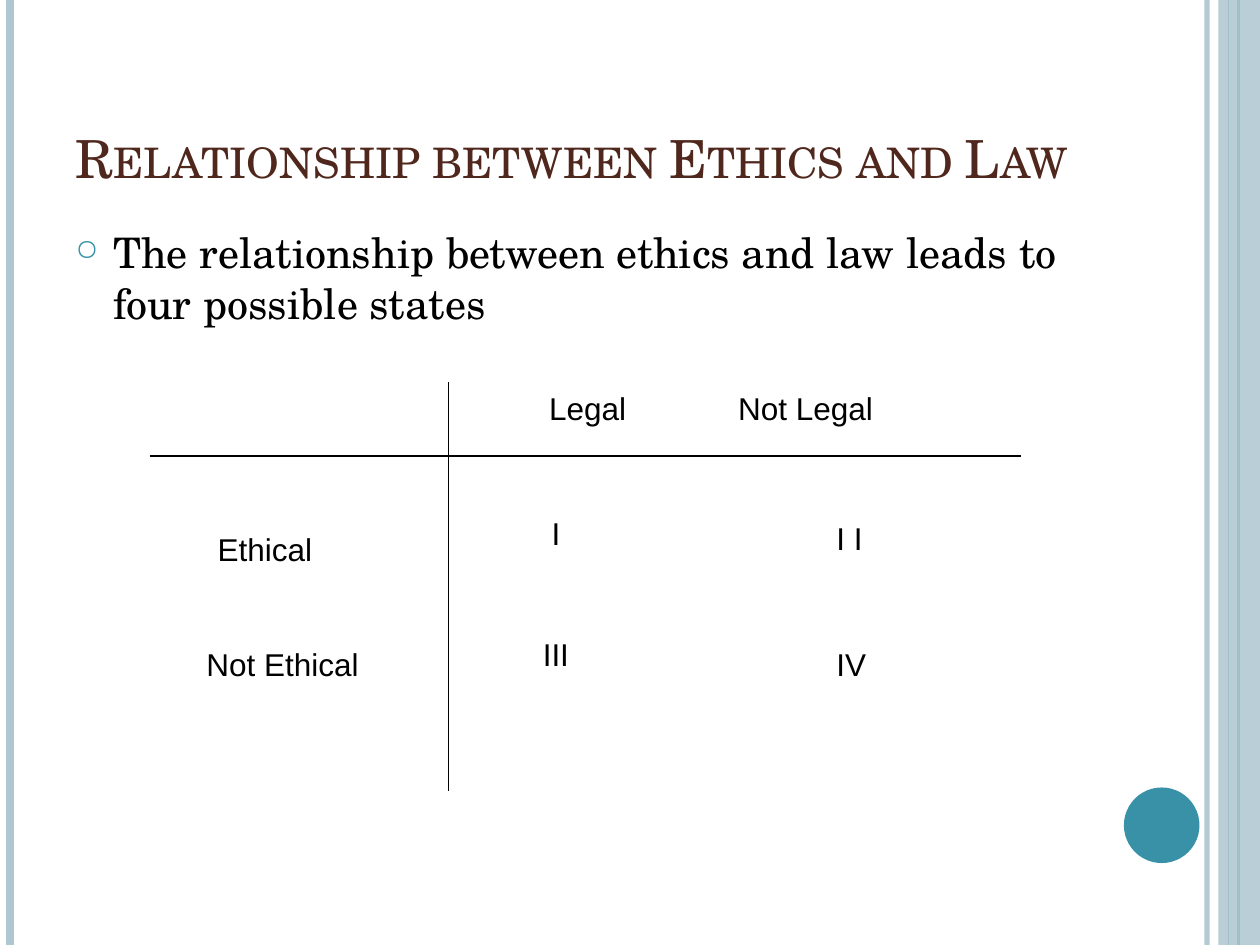
from lxml import etree
from pptx import Presentation
from pptx.dml.color import RGBColor
from pptx.enum.shapes import MSO_CONNECTOR, MSO_SHAPE
from pptx.enum.text import MSO_ANCHOR
from pptx.oxml.ns import qn
from pptx.util import Inches, Pt

STRAIGHT = MSO_CONNECTOR.STRAIGHT
RECTANGLE, OVAL = MSO_SHAPE.RECTANGLE, MSO_SHAPE.OVAL
TOP, BOTTOM = MSO_ANCHOR.TOP, MSO_ANCHOR.BOTTOM
PALE = RGBColor(0xAF, 0xC7, 0xD0)
TEAL = RGBColor(0x38, 0x91, 0xA7)
BROWN = RGBColor(0x4F, 0x27, 0x1C)
BLACK = RGBColor(0, 0, 0)
SERIF, SANS = "TeX Gyre Schola", "Arial"
WIDTH, HEIGHT = 10, 7.5

deck = Presentation()
deck.slide_width, deck.slide_height = Inches(WIDTH), Inches(HEIGHT)
page = deck.slides.add_slide(deck.slide_layouts[6])


def add_line(start, end, color=BLACK, weight=0.75):
    line = page.shapes.add_connector(STRAIGHT, *map(Inches, start + end))
    line.line.color.rgb = color
    line.line.width = Pt(weight)
    etree.SubElement(line._element.spPr, qn("a:effectLst"))
    return line


def add_text(text, left, top, width, height=0.5, font=SANS, size=18,
             color=BLACK, anchor=TOP):
    box = page.shapes.add_textbox(*map(Inches, (left, top, width, height)))
    box.text_frame.word_wrap = True
    box.text_frame.vertical_anchor = anchor
    para = box.text_frame.paragraphs[0]
    span = para.add_run()
    span.text = text
    span.font.name, span.font.size = font, Pt(size)
    span.font.color.rgb = color
    return para


# Side stripes, band and disc
rules = [(9.58, PALE, 3), (0.08, PALE, 4.5), (9.83, TEAL, 1.5), (9.75, TEAL, 0.75)]
stripes = [add_line((x, 0), (x, HEIGHT), color, weight) for x, color, weight in rules]

decorations = []
for kind, place, color in [
    (RECTANGLE, (9.67, 0, 0.33, HEIGHT), PALE),
    (OVAL, (8.92, 6.25, 0.6, 0.6), TEAL),
]:
    shape = page.shapes.add_shape(kind, *map(Inches, place))
    shape.shadow.inherit = False
    shape.fill.solid()
    shape.fill.fore_color.rgb = color
    shape.line.fill.background()
    decorations.append(shape)

# Transparency of the first stripe and the band
for part, opacity in [(stripes[0], 93), (decorations[0], 87)]:
    tint = next(part._element.spPr.iter(qn("a:srgbClr")))
    etree.SubElement(tint, qn("a:alpha"), val=str(opacity * 1000))

# Title in small capitals
title = add_text("Relationship between Ethics and Law", 0.5, 0.3, 8.17, 1.25,
                 SERIF, 30, BROWN, BOTTOM)
title.runs[0].font._element.set("cap", "small")

# Bulleted statement
statement = add_text(
    "The relationship between ethics and law leads to four possible states",
    0.5, 1.75, 8.17, 5.33, SERIF, 24)
statement.space_before = Pt(6)
props = statement._p.get_or_add_pPr()
props.set("marL", str(Inches(0.3)))
props.set("indent", str(-Inches(0.3)))
bullet_color = etree.SubElement(props, qn("a:buClr"))
etree.SubElement(bullet_color, qn("a:srgbClr"), val=str(TEAL))
etree.SubElement(props, qn("a:buSzPct"), val="70000")
etree.SubElement(props, qn("a:buChar"), char="○")

# Axes of the matrix
add_line((3.56, 3.03), (3.56, 6.28))
add_line((1.19, 3.62), (8.1, 3.62))

# Column headings on tab stops
headings = add_text("Legal\t\tNot Legal", 4.26, 3.04, 3.68)
stops = etree.SubElement(headings._p.get_or_add_pPr(), qn("a:tabLst"))
for position in (1, 1.5):
    etree.SubElement(stops, qn("a:tab"), pos=str(Inches(position)), algn="l")

# Row headings and states
for text, left, top, width in [
    ("Ethical", 1.63, 4.16, 1.14),
    ("Not Ethical", 1.54, 5.07, 1.73),
    ("I I", 6.54, 4.07, 0.51),
    ("I", 4.28, 4.03, 0.31),
    ("III", 4.21, 4.99, 0.53),
    ("IV", 6.54, 5.07, 0.55),
]:
    add_text(text, left, top, width)

deck.save("out.pptx")
